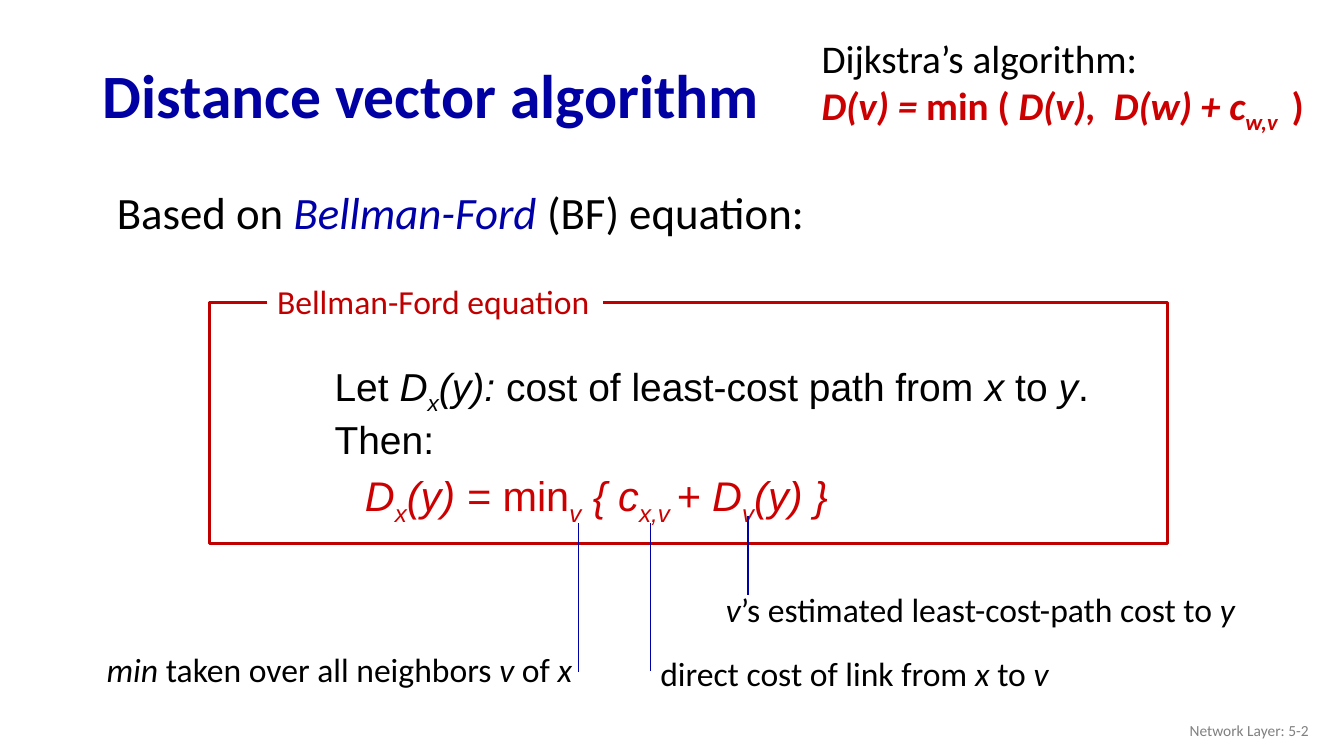
from lxml import etree
from pptx import Presentation
from pptx.dml.color import RGBColor
from pptx.enum.shapes import MSO_CONNECTOR, MSO_SHAPE
from pptx.enum.text import MSO_ANCHOR, PP_ALIGN
from pptx.oxml.ns import qn
from pptx.util import Inches, Pt

LINE = MSO_CONNECTOR.STRAIGHT
RECT = MSO_SHAPE.RECTANGLE
LEFT, RIGHT = PP_ALIGN.LEFT, PP_ALIGN.RIGHT
TOP, MIDDLE = MSO_ANCHOR.TOP, MSO_ANCHOR.MIDDLE

COLORS = {
    "black": "000000", "white": "FFFFFF", "gray": "808080",
    "title": "0000A3", "blue": "0000A8", "red": "CC0000", "frame": "C00000",
}

# Run formats
IT = {"italic": True}
SUB = {"italic": True, "sub": True}


def rgb(name):
    return RGBColor.from_string(COLORS[name])


def add_run(p, text, size=24, font="Calibri", color="black",
            bold=False, italic=False, sub=False):
    r = p.add_run()
    r.text = text
    f = r.font
    f.size, f.name, f.bold, f.italic = Pt(size), font, bold, italic
    f.color.rgb = rgb(color)
    if sub:
        r._r.get_or_add_rPr().set("baseline", "-25000")


def add_paragraph(tf, runs, align=LEFT, spacing=None, before=None,
                  indent=None, **fmt):
    """Runs are plain strings or (string, format) pairs."""
    p = tf.paragraphs[0]
    if p.runs:
        p = tf.add_paragraph()
    p.alignment = align
    if spacing:
        p.line_spacing = spacing
    if before:
        p.space_before = Pt(before)
    if indent:
        pPr = p._p.get_or_add_pPr()
        for key, inches in zip(("marL", "indent"), indent):
            pPr.set(key, str(Inches(inches)))
    for run in runs:
        text, extra = (run, {}) if isinstance(run, str) else run
        add_run(p, text, **{**fmt, **extra})


def add_text(s, x, y, w, h, anchor=TOP, wrap=True):
    box = s.shapes.add_textbox(Inches(x), Inches(y), Inches(w), Inches(h))
    tf = box.text_frame
    tf.word_wrap = wrap
    tf.vertical_anchor = anchor
    return tf


def add_rect(s, x, y, w, h, fill=None, line=None):
    sp = s.shapes.add_shape(RECT, Inches(x), Inches(y), Inches(w), Inches(h))
    sp.shadow.inherit = False
    if fill:
        sp.fill.solid()
        sp.fill.fore_color.rgb = rgb(fill)
    else:
        sp.fill.background()
    if line:
        sp.line.color.rgb = rgb(line)
        sp.line.width = Pt(2)
    else:
        sp.line.fill.background()
    return sp


def add_pointer(s, x, top, bottom):
    c = s.shapes.add_connector(LINE, Inches(x), Inches(top),
                               Inches(x), Inches(bottom))
    c.line.color.rgb = rgb("blue")
    c.line.width = Pt(1)
    etree.SubElement(c._element.spPr, qn("a:effectLst"))


def add_callout(s, x, y, w, runs, pointer):
    add_paragraph(add_text(s, x, y, w, 0.5, wrap=False), runs)
    add_pointer(s, *pointer)


def add_equation(s):
    tf = add_text(s, 3.07, 3.6, 8.7, 2.16)
    body = {"spacing": 0.8, "before": 10, "font": "Arial"}
    hanging = {"indent": (0.39, -0.24), "size": 27.8}
    add_paragraph(tf, ["Let ", ("D", IT), ("x", SUB), ("(y): ", IT),
                       "cost of least-cost path from ", ("x", IT), " to ",
                       ("y", IT), "."], **hanging, **body)
    add_paragraph(tf, ["Then:"], **hanging, **body)
    add_paragraph(tf, [("D", IT), ("x", SUB), ("(y) = ", IT), "min",
                       ("v", SUB), (" { c", IT), ("x,v ", SUB), ("+ D", IT),
                       ("v", SUB), ("(y) }", IT)],
                  indent=(0.45, 0), size=29.6, color="red", **body)


def main():
    prs = Presentation()
    prs.slide_width, prs.slide_height = Inches(13.33), Inches(7.5)
    s = prs.slides.add_slide(prs.slide_layouts[6])

    # Introduction, title and footer
    add_paragraph(add_text(s, 0.92, 1.89, 11.83, 0.57),
                  ["Based on ",
                   ("Bellman-Ford", {"color": "blue", "italic": True}),
                   " (BF) equation:"],
                  size=32, spacing=0.8, before=10, indent=(0.14, 0))
    add_paragraph(add_text(s, 0.92, 0.49, 11.5, 0.98, MIDDLE),
                  ["Distance vector algorithm"],
                  size=44, color="title", bold=True, spacing=0.9)
    add_paragraph(add_text(s, 10.08, 7.05, 3, 0.4, MIDDLE),
                  ["Network Layer: 5-2"], align=RIGHT, size=11, color="gray")

    # Framed equation with its caption
    add_equation(s)
    add_rect(s, 2.08, 3, 9.5, 2.39, line="frame")
    caption = add_rect(s, 2.65, 2.74, 3.33, 0.5, fill="white").text_frame
    caption.word_wrap = False
    caption.vertical_anchor = TOP
    add_paragraph(caption, ["Bellman-Ford equation"], color="frame")

    # Callouts: left, top, width, text, pointer (x, top, bottom)
    callouts = [
        (0.96, 6.39, 4.86, [("min", IT), " taken over all neighbors",
                            (" v ", IT), "of ", ("x", IT)],
         (5.74, 5.19, 6.67)),
        (7.1, 5.79, 5.31, [("v", IT), "’s estimated least-cost-path cost to ",
                           ("y", IT)], (7.42, 5.12, 5.9)),
        (6.45, 6.43, 4.08, ["direct cost of link from", (" x ", IT), "to ",
                            ("v", IT)], (6.45, 5.19, 6.66)),
    ]
    for callout in callouts:
        add_callout(s, *callout)

    # Dijkstra's formula for comparison
    tf = add_text(s, 8.05, 0.29, 5.42, 1.04)
    add_paragraph(tf, ["Dijkstra’s algorithm:"], size=28)
    add_paragraph(tf, [("D(v) = ", IT), "min ( ", ("D(v),  D(w) + c", IT),
                       ("w,v ", SUB), " )"], size=28, color="red", bold=True)

    prs.save("out.pptx")


if __name__ == "__main__":
    main()
